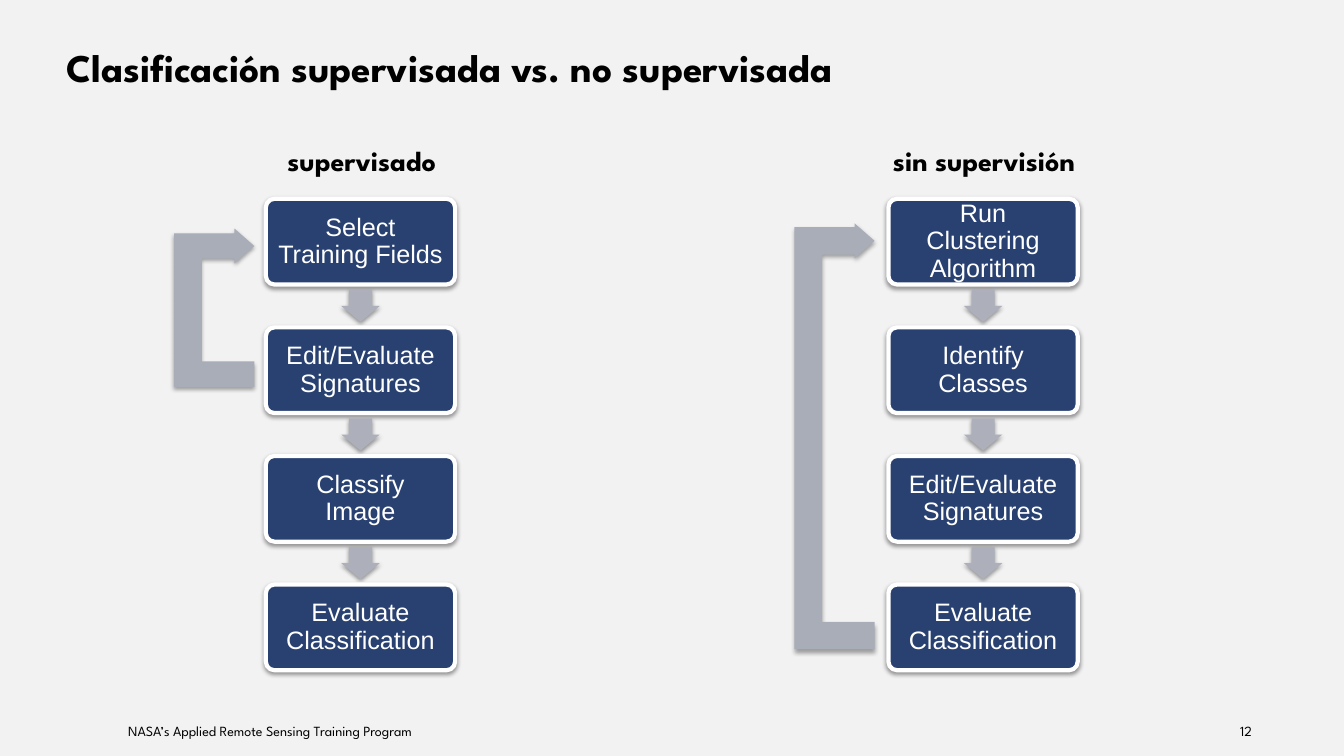
from dataclasses import dataclass

from lxml.etree import SubElement
from pptx import Presentation
from pptx.dml.color import RGBColor
from pptx.enum.shapes import MSO_SHAPE
from pptx.enum.text import MSO_ANCHOR, PP_ALIGN
from pptx.oxml.ns import qn
from pptx.util import Cm, Pt


@dataclass(frozen=True)
class Theme:
    background: str = "F2F2F2"
    ink: str = "000000"
    box: str = "294171"
    box_text: str = "FFFFFF"
    step_arrow: str = "ADB0BB"
    loop_arrow: str = "A9ADB7"
    heading_font: str = "League Spartan"
    box_font: str = "Arial"
    title_size: int = 28
    heading_size: int = 20
    box_size: int = 18
    footer_size: int = 10


def write(tf, text, *, font, size, color, bold=False, align=PP_ALIGN.LEFT,
          anchor=MSO_ANCHOR.TOP, insets=(0.33, 0.18, 0.33, 0.18), spacing=None):
    """Fill a text frame with one formatted paragraph; insets are in cm."""
    tf.word_wrap = True
    tf.vertical_anchor = anchor
    tf.margin_left, tf.margin_top, tf.margin_right, tf.margin_bottom = map(Cm, insets)
    p = tf.paragraphs[0]
    p.alignment = align
    p.line_spacing = spacing
    r = p.add_run()
    r.text = text
    r.font.name, r.font.size, r.font.bold = font, Pt(size), bold
    r.font.color.rgb = RGBColor.from_string(color)


class FlowSlide:
    BOX_W, BOX_H, BOX_TOP, PITCH = 4.77, 2.16, 5.01, 3.24

    def __init__(self, prs, theme):
        self.theme = theme
        self.slide = prs.slides.add_slide(prs.slide_layouts[6])
        fill = self.slide.background.fill
        fill.solid()
        fill.fore_color.rgb = RGBColor.from_string(theme.background)

    def text(self, text, x, y, w, h, size, **fmt):
        sp = self.slide.shapes.add_textbox(Cm(x), Cm(y), Cm(w), Cm(h))
        write(sp.text_frame, text, font=self.theme.heading_font, size=size,
              color=self.theme.ink, **fmt)

    def paint(self, sp, color, opacity=38, distance=1.6):
        """Solid fill, no outline and a soft shadow straight below."""
        sp.fill.solid()
        sp.fill.fore_color.rgb = RGBColor.from_string(color)
        sp.line.fill.background()
        sp.shadow.inherit = False
        effects = sp._element.spPr.find(qn("a:effectLst"))
        shadow = SubElement(effects, qn("a:outerShdw"), blurRad=str(Pt(3.1)),
                            dist=str(Pt(distance)), dir="5400000", rotWithShape="0")
        shade = SubElement(shadow, qn("a:srgbClr"), val=self.theme.ink)
        SubElement(shade, qn("a:alpha"), val=str(opacity * 1000))

    def box(self, text, x, y):
        t = self.theme
        sp = self.slide.shapes.add_shape(MSO_SHAPE.ROUNDED_RECTANGLE, Cm(x), Cm(y),
                                         Cm(self.BOX_W), Cm(self.BOX_H))
        sp.adjustments[0] = 0.1
        self.paint(sp, t.box)
        sp.line.color.rgb = RGBColor.from_string(t.box_text)
        sp.line.width = Pt(3)
        write(sp.text_frame, text, font=t.box_font, size=t.box_size, color=t.box_text,
              align=PP_ALIGN.CENTER, anchor=MSO_ANCHOR.MIDDLE,
              insets=(0.24, 0.24, 0.24, 0.24), spacing=0.9)

    def step_arrow(self, cx, cy):
        w, h = 0.81, 0.97
        sp = self.slide.shapes.add_shape(MSO_SHAPE.RIGHT_ARROW, Cm(cx - w / 2),
                                         Cm(cy - h / 2), Cm(w), Cm(h))
        sp.rotation = 90
        sp.adjustments[0], sp.adjustments[1] = 0.6, 0.5
        self.paint(sp, self.theme.step_arrow)

    def loop_arrow(self, left, tip_y, bottom, thick):
        """Bracket that leads from a later step back to the first one."""
        right, spine = left + 2.02, left + 0.7
        neck, head, half = right - 0.5, 0.44, thick / 2
        outline = [(right, bottom), (left, bottom), (left, tip_y - half),
                   (neck, tip_y - half), (neck, tip_y - head), (right, tip_y),
                   (neck, tip_y + head), (neck, tip_y + half), (spine, tip_y + half),
                   (spine, bottom - thick), (right, bottom - thick)]
        points = [(Cm(x), Cm(y)) for x, y in outline]
        builder = self.slide.shapes.build_freeform(*points[0])
        builder.add_line_segments(points[1:], close=True)
        self.paint(builder.convert_to_shape(), self.theme.loop_arrow, 35, 1.8)

    def flow(self, heading, heading_x, x, steps):
        self.text(heading, heading_x, 3.43, 15.49, 1.2, self.theme.heading_size,
                  bold=True, align=PP_ALIGN.CENTER, insets=(0.4, 0.18, 0.33, 0.18))
        gap = self.PITCH - self.BOX_H
        for i, step in enumerate(steps):
            y = self.BOX_TOP + i * self.PITCH
            if i:
                self.step_arrow(x + self.BOX_W / 2, y - gap / 2)
            self.box(step, x, y)


def main():
    prs = Presentation()
    prs.slide_width, prs.slide_height = Cm(33.87), Cm(19.05)
    theme = Theme()
    s = FlowSlide(prs, theme)

    # Title
    s.text("Clasificación supervisada vs. no supervisada", 1.34, 0.89, 31.2, 1.6,
           theme.title_size, bold=True, anchor=MSO_ANCHOR.MIDDLE)

    # Loops back to the first step
    s.loop_arrow(4.39, 6.2, 9.75, 0.64)
    s.loop_arrow(20.02, 6.07, 16.36, 0.69)

    # The two flows
    s.flow("supervisado", 1.34, 6.7,
           ["Select Training Fields", "Edit/Evaluate Signatures",
            "Classify Image", "Evaluate Classification"])
    s.flow("sin supervisión", 17.02, 22.39,
           ["Run Clustering Algorithm", "Identify Classes",
            "Edit/Evaluate Signatures", "Evaluate Classification"])

    # Footer
    s.text("NASA’s Applied Remote Sensing Training Program", 2.9, 18.03, 10.9, 0.76,
           theme.footer_size)
    s.text("12", 29.95, 18.03, 1.93, 0.76, theme.footer_size, align=PP_ALIGN.RIGHT)

    prs.save("out.pptx")


if __name__ == "__main__":
    main()
